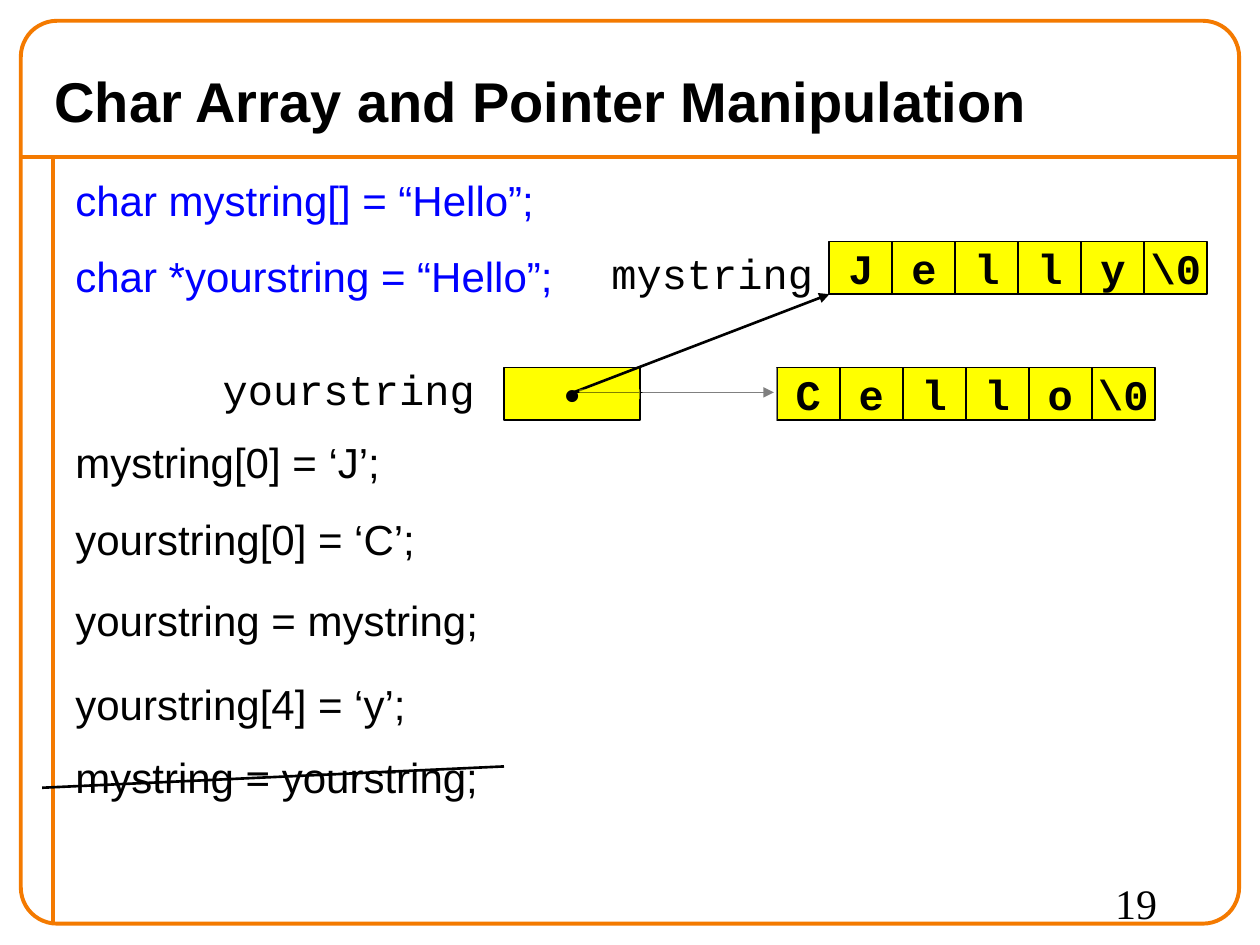
from lxml import etree
from pptx import Presentation
from pptx.dml.color import RGBColor
from pptx.enum.shapes import MSO_CONNECTOR, MSO_SHAPE
from pptx.enum.text import MSO_ANCHOR, PP_ALIGN
from pptx.oxml.ns import qn
from pptx.util import Cm, Pt

RECT, ROUND = MSO_SHAPE.RECTANGLE, MSO_SHAPE.ROUNDED_RECTANGLE
STRAIGHT = MSO_CONNECTOR.STRAIGHT
TOP, MIDDLE = MSO_ANCHOR.TOP, MSO_ANCHOR.MIDDLE
LEFT, CENTER, RIGHT = PP_ALIGN.LEFT, PP_ALIGN.CENTER, PP_ALIGN.RIGHT

COLORS = {"frame": "F47A00", "ink": "000000", "declaration": "0000FF",
          "cell": "FFFF00", "paper": "FFFFFF"}

# All positions are in centimetres.
TITLE = "Char Array and Pointer Manipulation"
PAGE_NUMBER = "19"
STATEMENTS = [  # top, height, colour, lines
    (3.39, 2.96, "declaration", ["char mystring[] = “Hello”;", "char *yourstring = “Hello”;"]),
    (8.68, 2.96, "ink", ["mystring[0] = ‘J’;", "yourstring[0] = ‘C’;"]),
    (11.85, 1.69, "ink", ["yourstring = mystring;"]),
    (13.55, 1.48, "ink", ["yourstring[4] = ‘y’;"]),
    (15.03, 2.96, "ink", ["mystring = yourstring;"]),
]
LABELS = [("mystring", (12.07, 4.87, 4.57, 1.27)),
          ("yourstring", (4.23, 7.2, 5.59, 1.27))]
ARRAYS = [(16.72, 4.87, ["J", "e", "l", "l", "y", "\\0"]),
          (15.66, 7.41, ["C", "e", "l", "l", "o", "\\0"])]
CELL_W, CELL_H = 1.27, 1.06
POINTER_BOX = (10.16, 7.41, 2.75, CELL_H)
FRAME_BOX = (0.42, 0.42, 24.56, 18.2)
FRAME_LINES = [(0.42, 3.17, 24.98, 3.17), (1.06, 3.17, 1.06, 18.63)]
OLD_POINTER = (11.58, 7.91, 15.6, 7.91)
NEW_POINTER = (11.56, 7.91, 16.72, 5.93)
STRIKE = (10.16, 15.45, 0.85, 15.88)
VEILS = [((12.95, 7.41, 2.72, CELL_H), "paper"), ((11.68, 7.85, 1.22, 0.2), "cell")]

CODE = {"name": "Courier New", "size": Pt(24), "bold": False}
CELL = {**CODE, "bold": True}
BODY = {"name": "Arial", "size": Pt(24), "bold": False}
HEADING = {"name": "Arial", "size": Pt(32), "bold": True}
NUMBER = {"name": "Times New Roman", "size": Pt(24), "bold": False}


def rgb(name):
    return RGBColor.from_string(COLORS[name])


def write(sp, lines, font, color="ink", align=LEFT, anchor=TOP, wrap=True, hanging=False):
    tf = sp.text_frame
    tf.word_wrap, tf.vertical_anchor = wrap, anchor
    for i, line in enumerate(lines):
        p = tf.paragraphs[0] if i == 0 else tf.add_paragraph()
        p.alignment = align
        if hanging:
            p.space_before = Pt(15)
            pPr = p._p.get_or_add_pPr()
            pPr.set("marL", str(Cm(0.6)))
            pPr.set("indent", str(-Cm(0.6)))
        r = p.add_run()
        r.text = line
        for key, value in font.items():
            setattr(r.font, key, value)
        r.font.color.rgb = rgb(color)


def add_text(slide, box, lines, font, **options):
    write(slide.shapes.add_textbox(*map(Cm, box)), lines, font, **options)


def add_box(slide, box, fill=None, line=None, width=1, kind=RECT):
    sp = slide.shapes.add_shape(kind, *map(Cm, box))
    sp.shadow.inherit = False
    if fill:
        sp.fill.solid()
        sp.fill.fore_color.rgb = rgb(fill)
    else:
        sp.fill.background()
    if line:
        sp.line.color.rgb = rgb(line)
        sp.line.width = Pt(width)
    else:
        sp.line.fill.background()
    return sp


def add_cell(slide, box, text):
    sp = add_box(slide, box, "cell", "ink")
    write(sp, [text], CELL, align=CENTER, anchor=MIDDLE, wrap=False)


def add_veil(slide, box, color):
    """Half-transparent cover that fades what lies under it."""
    sp = add_box(slide, box, color)
    srgb = sp._element.spPr.find(qn("a:solidFill")).find(qn("a:srgbClr"))
    etree.SubElement(srgb, qn("a:alpha"), val="50000")


def add_line(slide, ends, color, width, arrow=False):
    line = slide.shapes.add_connector(STRAIGHT, *map(Cm, ends))
    line.line.color.rgb = rgb(color)
    line.line.width = Pt(width)
    if arrow:
        etree.SubElement(line.line._get_or_add_ln(), qn("a:tailEnd"), type="triangle")
    etree.SubElement(line._element.spPr, qn("a:effectLst"))


def main():
    prs = Presentation()
    prs.slide_width, prs.slide_height = Cm(25.4), Cm(19.05)
    slide = prs.slides.add_slide(prs.slide_layouts[6])

    for ends in FRAME_LINES:
        add_line(slide, ends, "frame", 2.25)
    frame = add_box(slide, FRAME_BOX, line="frame", width=2.25, kind=ROUND)
    frame.adjustments[0] = 0.04

    add_text(slide, (0.85, 1.06, 23.7, 1.9), [TITLE], HEADING, anchor=MIDDLE)
    for top, height, color, lines in STATEMENTS:
        add_text(slide, (1.27, top, 23.5, height), lines, BODY, color=color, hanging=True)
    for label, box in LABELS:
        add_text(slide, box, [label], CODE, align=RIGHT, wrap=False)

    add_cell(slide, POINTER_BOX, "•")
    for left, top, chars in ARRAYS:
        for i, char in enumerate(chars):
            add_cell(slide, (left + i * CELL_W, top, CELL_W, CELL_H), char)

    add_line(slide, OLD_POINTER, "ink", 0.75, arrow=True)
    add_line(slide, NEW_POINTER, "ink", 1.5, arrow=True)
    for box, color in VEILS:
        add_veil(slide, box, color)
    add_line(slide, STRIKE, "ink", 1.5)
    add_text(slide, (22.23, 17.57, 2.54, 1.27), [PAGE_NUMBER], NUMBER)
    prs.save("out.pptx")


if __name__ == "__main__":
    main()
